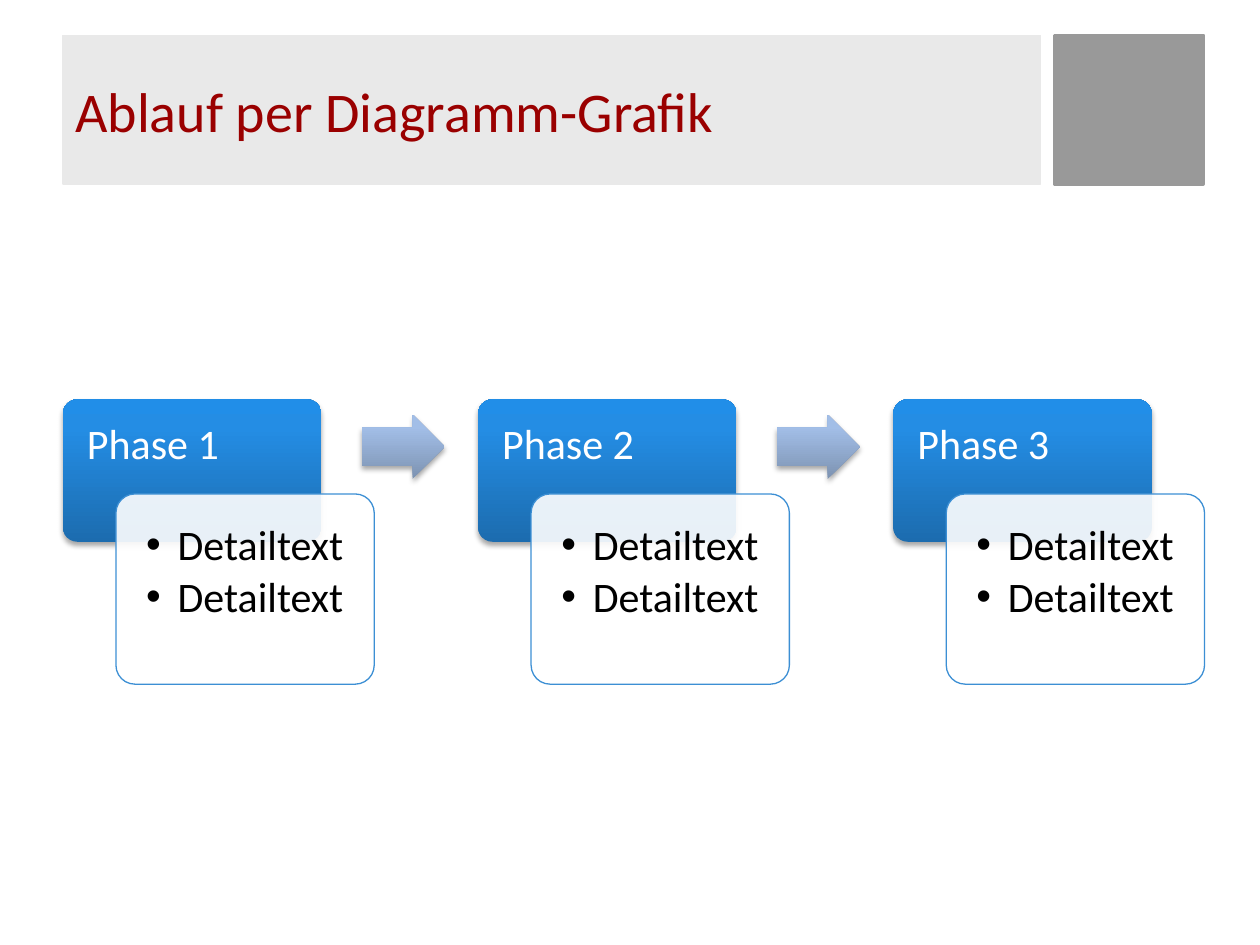
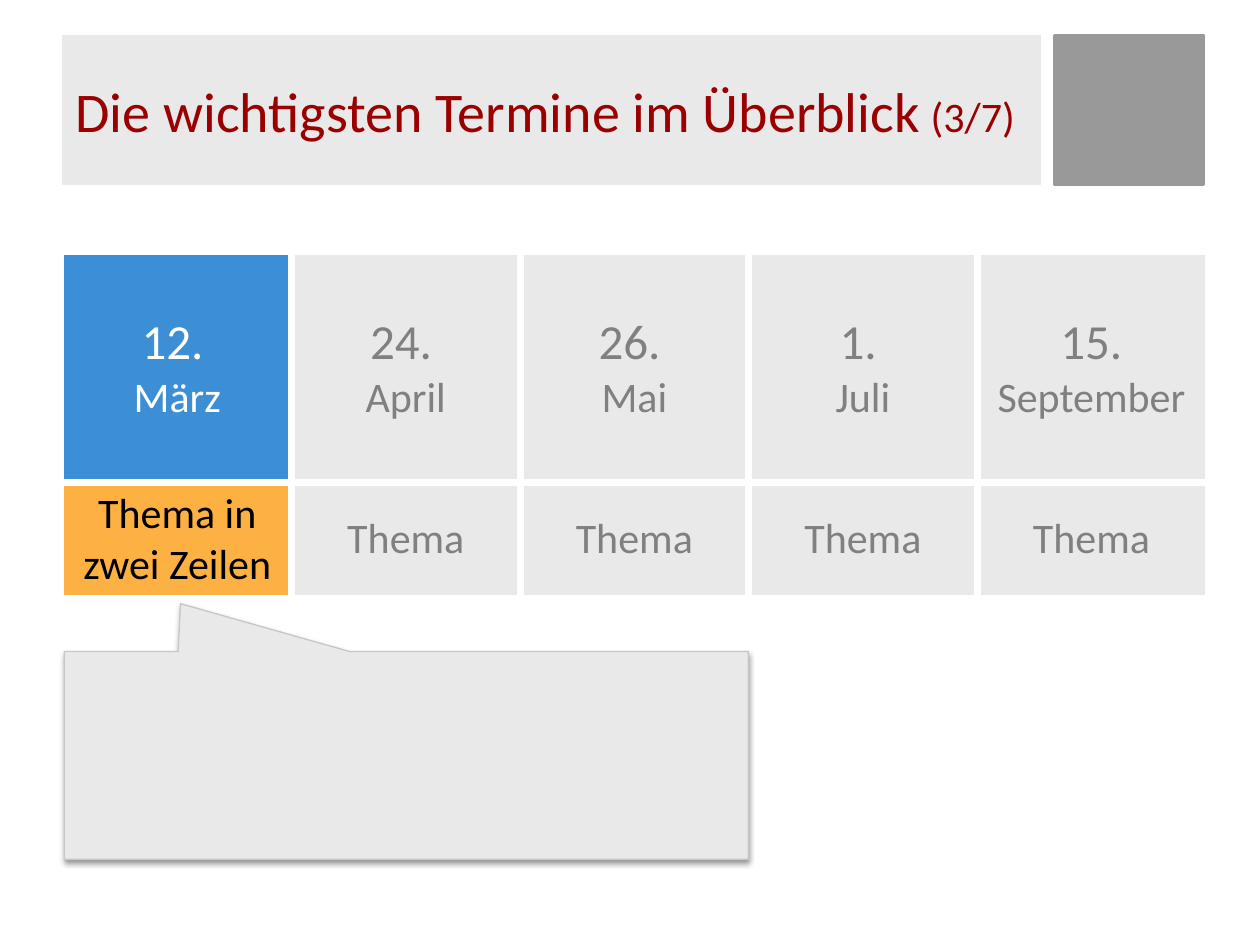
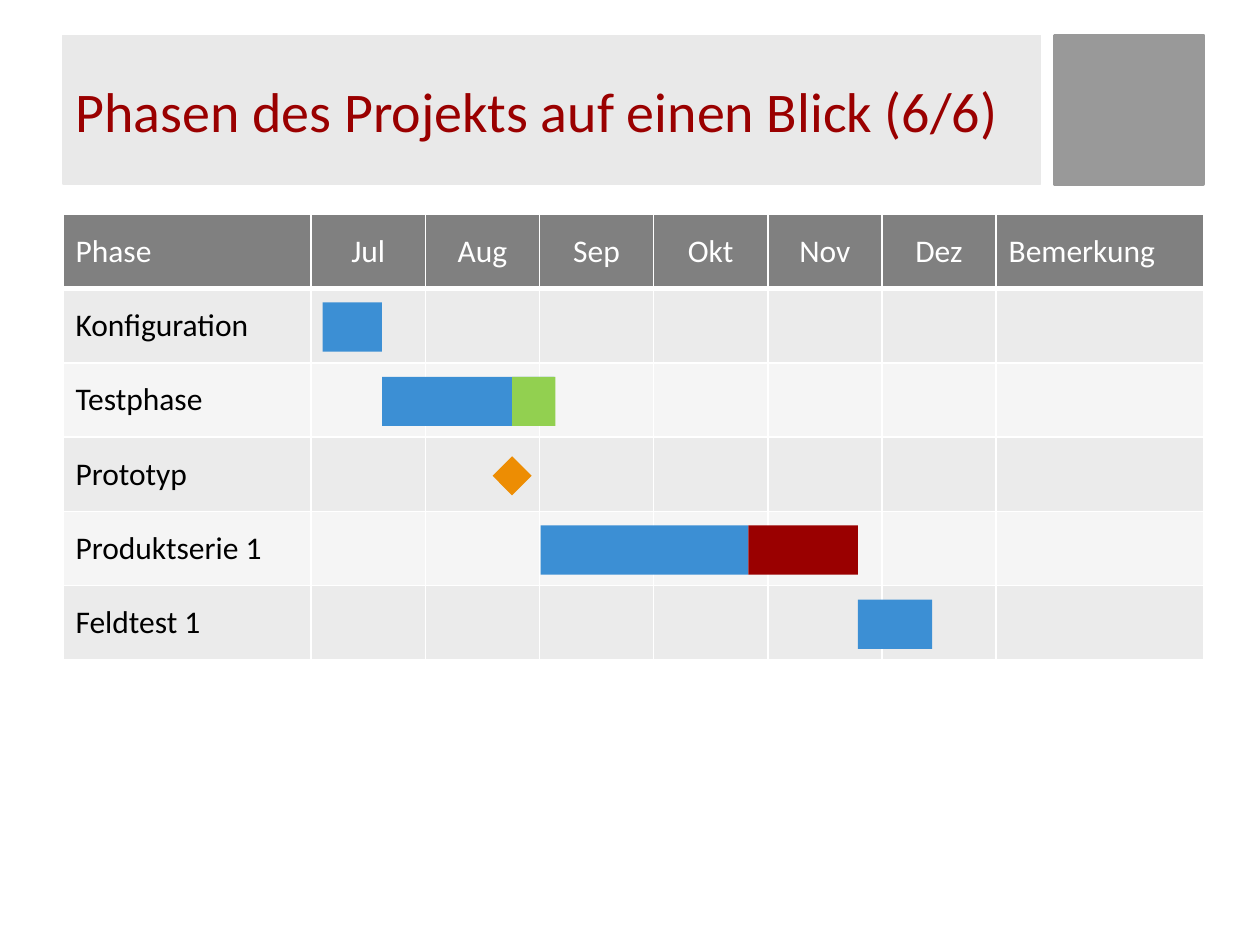
from dataclasses import dataclass

from lxml import etree
from pptx import Presentation
from pptx import util as u
from pptx.dml.color import RGBColor
from pptx.enum import shapes, text
from pptx.oxml.ns import qn


@dataclass(frozen=True)
class Theme:
    font: str = "Calibri"
    title_size: int = 32
    day_size: int = 28
    body_size: int = 24
    table_size: int = 18
    red: str = "9A0000"
    blue: str = "3C8FD4"
    green: str = "92D050"
    amber: str = "FDB143"
    orange: str = "ED8D03"
    white: str = "FFFFFF"
    black: str = "000000"
    panel: str = "E9E9E9"
    panel_edge: str = "C7C7C7"
    logo: str = "999999"
    gray: str = "808080"
    band_dark: str = "EBEBEB"
    band_light: str = "F5F5F5"
    phase_stops: tuple = ((0, "1C6CAF"), (80, "248DE4"), (100, "218EE8"))
    arrow_stops: tuple = ((0, "7D93B2"), (80, "A2BEE7"), (100, "A1BFEA"))


T = Theme()
SHAPE = shapes.MSO_SHAPE
LEFT, CENTER = text.PP_ALIGN.LEFT, text.PP_ALIGN.CENTER
MIDDLE = text.MSO_ANCHOR.MIDDLE
WIDTH, HEIGHT = 10, 7.5
MARGIN = WIDTH * 0.05
HEADER_TOP, HEADER_H = 0.28, 1.18


def rgb(color):
    return RGBColor.from_string(color)


def inches(*values):
    return [u.Inches(v) for v in values]


def add_node(parent, tag, **attrs):
    return etree.SubElement(parent, qn(tag), {k: str(v) for k, v in attrs.items()})


def style_font(font, size, color):
    font.name = T.font
    font.size = u.Pt(size)
    font.color.rgb = rgb(color)


def paint(sp, fill, line=None, weight=0.75):
    sp.fill.solid()
    sp.fill.fore_color.rgb = rgb(fill)
    if line:
        sp.line.color.rgb = rgb(line)
        sp.line.width = u.Pt(weight)
    else:
        sp.line.fill.background()


def paint_gradient(sp, stops):
    sp.fill.gradient()
    sp.fill.gradient_angle = 90
    stop_list = sp._element.spPr.find(qn("a:gradFill")).find(qn("a:gsLst"))
    for old in list(stop_list):
        stop_list.remove(old)
    for share, color in stops:
        stop = add_node(stop_list, "a:gs", pos=share * 1000)
        add_node(stop, "a:srgbClr", val=color)
    sp.line.fill.background()


def add_shadow(sp, alpha, distance):
    effects = sp._element.spPr.find(qn("a:effectLst"))
    shadow = add_node(effects, "a:outerShdw", blurRad=u.Pt(3.1), dist=u.Pt(distance),
                      dir=5400000, rotWithShape=0)
    add_node(add_node(shadow, "a:srgbClr", val=T.black), "a:alpha", val=alpha * 1000)


def set_alpha(sp, alpha):
    color = sp._element.spPr.find(qn("a:solidFill"))[0]
    add_node(color, "a:alpha", val=alpha * 1000)


def add_preset(s, kind, box, adjustments=()):
    sp = s.shapes.add_shape(kind, *inches(*box))
    sp.shadow.inherit = False
    for i, value in enumerate(adjustments):
        sp.adjustments[i] = value
    return sp


def add_text(s, box, insets=None):
    sp = s.shapes.add_textbox(*inches(*box))
    tf = sp.text_frame
    tf.word_wrap = True
    if insets:
        tf.margin_left, tf.margin_top, tf.margin_right, tf.margin_bottom = inches(*insets)
    return sp, tf


def add_titled_slide(prs, title, counter=""):
    s = prs.slides.add_slide(prs.slide_layouts[6])
    logo = add_preset(s, SHAPE.RECTANGLE, (8.37, HEADER_TOP, HEADER_H, HEADER_H))
    paint(logo, T.logo, T.logo, 2)
    band, tf = add_text(s, (MARGIN, HEADER_TOP, 7.76, HEADER_H))
    paint(band, T.panel, T.panel)
    tf.vertical_anchor = MIDDLE
    p = tf.paragraphs[0]
    style_font(p.font, T.title_size, T.red)
    p.add_run().text = title
    if counter:
        r = p.add_run()
        r.text = counter
        r.font.size = u.Pt(T.body_size)
    return s


def add_phase(s, left, top, name, details):
    card_w = 2.05
    card = add_preset(s, SHAPE.ROUNDED_RECTANGLE, (left, top, card_w, 1.13), [0.1])
    paint_gradient(card, T.phase_stops)
    add_shadow(card, 35, 1.8)
    _, tf = add_text(s, (left, top, card_w, 0.76), (0.19, 0.19, 0.19, 0.1))
    p = tf.paragraphs[0]
    p.text = name
    p.line_spacing = 0.9
    style_font(p.font, T.body_size, T.white)

    detail_left, detail_top = left + 0.42, top + 0.75
    detail = add_preset(s, SHAPE.ROUNDED_RECTANGLE,
                        (detail_left, detail_top, card_w, 1.51), [0.1])
    paint(detail, T.white, T.blue)
    set_alpha(detail, 90)
    _, tf = add_text(s, (detail_left + 0.05, detail_top + 0.05, card_w - 0.09, 1.42),
                     (0.19, 0.19, 0.19, 0.19))
    for i, line in enumerate(details):
        p = tf.add_paragraph() if i else tf.paragraphs[0]
        p.text = line
        add_bullet(p)
        p.line_spacing = 0.9
        p.space_after = u.Pt(T.body_size * 0.15)
        style_font(p.font, T.body_size, T.black)


def add_bullet(p):
    pPr = p._p.get_or_add_pPr()
    pPr.set("marL", str(u.Inches(0.25)))
    pPr.set("indent", str(u.Inches(-0.25)))
    add_node(pPr, "a:buFont", typeface="Arial")
    add_node(pPr, "a:buChar", char="•")


def add_phase_arrow(s, left, top):
    arrow = add_preset(s, SHAPE.RIGHT_ARROW, (left, top, 0.66, 0.51), [0.6, 0.5])
    paint_gradient(arrow, T.arrow_stops)
    add_shadow(arrow, 35, 1.8)


def add_grid(s, left, top, widths, heights):
    frame = s.shapes.add_table(len(heights), len(widths),
                               *inches(left, top, sum(widths), sum(heights)))
    table = frame.table
    table.first_row = table.horz_banding = False
    for column, width in zip(table.columns, widths):
        column.width = u.Inches(width)
    for row, height in zip(table.rows, heights):
        row.height = u.Inches(height)
    return table


def style_cell(cell, fill, left=1, right=1, top=1, bottom=1):
    tcPr = cell._tc.get_or_add_tcPr()
    for side, weight in zip("LRTB", (left, right, top, bottom)):
        line = add_node(tcPr, f"a:ln{side}", w=u.Pt(weight))
        add_node(add_node(line, "a:solidFill"), "a:srgbClr", val=T.white)
    cell.fill.solid()
    cell.fill.fore_color.rgb = rgb(fill)
    cell.vertical_anchor = MIDDLE


def start_cell_text(cell, size, color, align=CENTER):
    p = cell.text_frame.paragraphs[0]
    p.alignment = align
    style_font(p.font, size, color)
    return p


def build_process(prs):
    s = add_titled_slide(prs, "Ablauf per Diagramm-Grafik")
    count, step, top = 3, 3.295, 3.17
    for i in range(count):
        left = MARGIN + i * step
        add_phase(s, left, top, f"Phase {i + 1}", ["Detailtext"] * 2)
        if i < count - 1:
            add_phase_arrow(s, left + 2.37, top + 0.12)


def build_dates(prs):
    s = add_titled_slide(prs, "Die wichtigsten Termine im Überblick", " (3/7)")
    dates = [("12.", "März", "Thema in zwei Zeilen"), ("24.", "April", "Thema"),
             ("26.", "Mai", "Thema"), ("1.", "Juli", "Thema"),
             ("15.", "September", "Thema")]
    count, gap = len(dates), 4.5
    table = add_grid(s, MARGIN, 2.02, [9.07 / count] * count, [1.81, 0.89])
    for i, (day, month, topic) in enumerate(dates):
        active = i == 0
        sides = {"left": gap if i else 1, "right": gap if i < count - 1 else 1}

        cell = table.cell(0, i)
        style_cell(cell, T.blue if active else T.panel, bottom=gap, **sides)
        p = start_cell_text(cell, T.body_size, T.white if active else T.gray)
        r = p.add_run()
        r.text = day
        r.font.size = u.Pt(T.day_size)
        p.add_run().text = " "
        if i < count - 1:
            p.add_line_break()
        p.add_run().text = month

        cell = table.cell(1, i)
        style_cell(cell, T.amber if active else T.panel, top=gap, **sides)
        p = start_cell_text(cell, T.body_size, T.black if active else T.gray)
        p.add_run().text = topic

    callout = add_preset(s, SHAPE.RECTANGULAR_CALLOUT, (0.51, 5.17, 5.43, 1.65),
                         [-0.33, -0.73])
    paint(callout, T.panel, T.panel_edge)
    add_shadow(callout, 38, 1.6)


def build_schedule(prs):
    s = add_titled_slide(prs, "Phasen des Projekts auf einen Blick (6/6)")
    months = ["Jul", "Aug", "Sep", "Okt", "Nov", "Dez"]
    headers = ["Phase", *months, "Bemerkung"]
    phases = ["Konfiguration", "Testphase", "Prototyp", "Produktserie 1", "Feldtest 1"]
    top, row_h, label_w, month_w = 1.7, 0.59, 1.97, 0.906
    widths = [label_w] + [month_w] * len(months) + [1.65]
    table = add_grid(s, MARGIN, top, widths, [row_h] * (len(phases) + 1))

    for col, header in enumerate(headers):
        cell = table.cell(0, col)
        style_cell(cell, T.gray, bottom=3)
        align = CENTER if header in months else LEFT
        start_cell_text(cell, T.table_size, T.white, align).add_run().text = header
    for row, phase in enumerate(phases, 1):
        for col in range(len(headers)):
            style_cell(table.cell(row, col), T.band_dark if row % 2 else T.band_light,
                       top=3 if row == 1 else 1)
        p = start_cell_text(table.cell(row, 0), T.table_size, T.black, LEFT)
        p.add_run().text = phase

    first_month = MARGIN + label_w
    bar_h = 0.39
    bars = [(1, 0.1, 0.52, T.blue), (2, 0.62, 1.51, T.blue), (4, 2.01, 1.82, T.blue),
            (5, 4.79, 0.65, T.blue), (2, 1.76, 0.38, T.green), (4, 3.83, 0.96, T.red)]
    for row, start, duration, color in bars:
        bar = add_preset(s, SHAPE.RECTANGLE,
                         (first_month + start * month_w, top + row * row_h + 0.11,
                          duration * month_w, bar_h))
        paint(bar, color)

    size = 0.31
    milestone = add_preset(s, SHAPE.DIAMOND,
                           (first_month + 1.76 * month_w - size / 2,
                            top + 3.52 * row_h - size / 2, size, size))
    paint(milestone, T.orange)


def main():
    prs = Presentation()
    prs.slide_width, prs.slide_height = inches(WIDTH, HEIGHT)
    build_process(prs)
    build_dates(prs)
    build_schedule(prs)
    prs.save("out.pptx")


if __name__ == "__main__":
    main()
